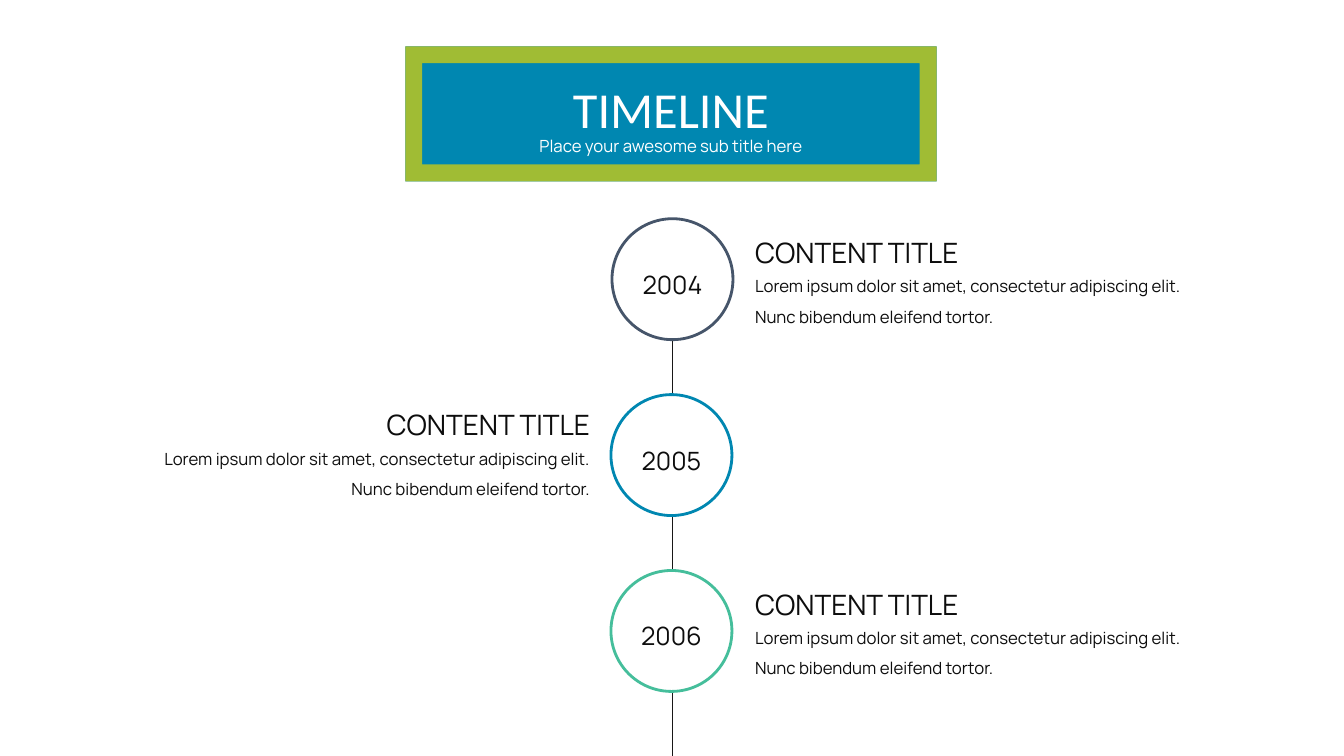
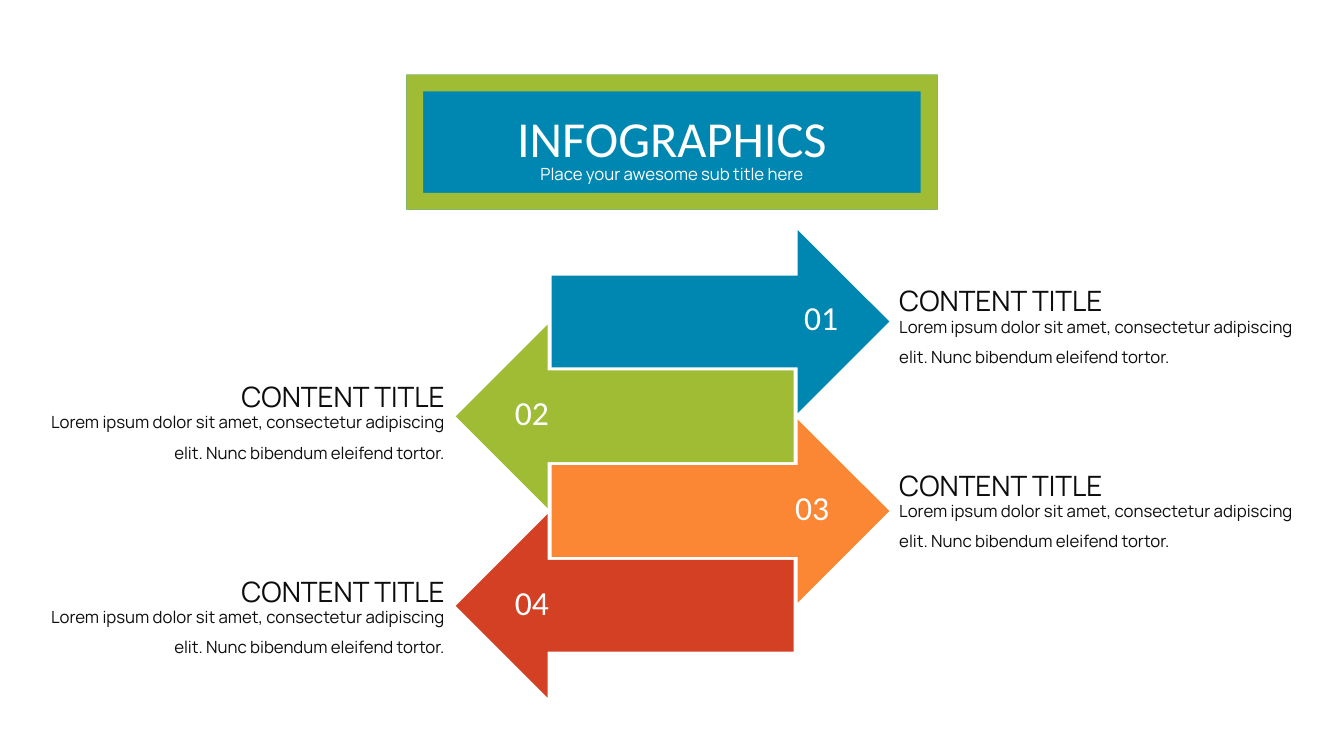
"""Build a timeline slide and an arrow infographic slide."""
from dataclasses import dataclass

from pptx import Presentation
from pptx.dml.color import RGBColor
from pptx.enum.shapes import MSO_CONNECTOR, MSO_SHAPE
from pptx.enum.text import MSO_AUTO_SIZE, PP_ALIGN
from pptx.oxml import parse_xml
from pptx.oxml.ns import nsdecls
from pptx.util import Inches, Pt

LEFT, MID, RIGHT = PP_ALIGN.LEFT, PP_ALIGN.CENTER, PP_ALIGN.RIGHT
RECT, FRAME = MSO_SHAPE.RECTANGLE, MSO_SHAPE.FRAME
OVAL, ARROW = MSO_SHAPE.OVAL, MSO_SHAPE.RIGHT_ARROW
STRAIGHT = MSO_CONNECTOR.STRAIGHT
GROW = MSO_AUTO_SIZE.SHAPE_TO_FIT_TEXT

ROWS = 75
SUB = "Place your awesome sub title here"
HEAD = "CONTENT TITLE"
BODY = ("Lorem ipsum dolor sit amet, consectetur adipiscing elit. "
        "Nunc bibendum eleifend tortor.")


@dataclass(frozen=True)
class Theme:
    white: str = "FFFFFF"
    ink: str = "0D0D0D"
    rule: str = "181717"
    slate: str = "46556A"
    blue: str = "0087B1"
    mint: str = "45BE9B"
    green: str = "A0BC34"
    orange: str = "FB8734"
    red: str = "D44024"
    sans: str = "Manrope"
    plain: str = "Calibri"
    title: int = 36
    number: int = 24
    head: int = 20
    year: int = 18
    body: int = 12
    ring: float = 2
    thin: float = 0.5
    loose: float = 1.5


THEME = Theme()


class Deck:
    def __init__(self, theme):
        self.theme = theme
        self.show = Presentation()
        self.show.slide_width = Inches(13.33)
        self.show.slide_height = Inches(7.5)
        self.cell = self.show.slide_height / ROWS
        self.slide = None

    def grid(self, *cells):
        return [round(n * self.cell) for n in cells]

    def page(self):
        self.slide = self.show.slides.add_slide(self.show.slide_layouts[6])

    def shape(self, kind, box, fill, edge=None, turn=0):
        item = self.slide.shapes.add_shape(kind, *self.grid(*box))
        item.shadow.inherit = False
        item.rotation = turn
        item.fill.solid()
        item.fill.fore_color.rgb = RGBColor.from_string(fill)
        if edge:
            item.line.color.rgb = RGBColor.from_string(edge)
            item.line.width = Pt(self.theme.ring)
        else:
            item.line.fill.background()

    def line(self, *ends):
        item = self.slide.shapes.add_connector(STRAIGHT, *self.grid(*ends))
        item.line.color.rgb = RGBColor.from_string(self.theme.rule)
        item.line.width = Pt(self.theme.thin)
        props = item.element.spPr
        props.append(parse_xml(f"<a:effectLst {nsdecls('a')}/>"))

    def text(self, words, box, size, color, face=None, align=MID, space=None):
        frame = self.slide.shapes.add_textbox(*self.grid(*box)).text_frame
        para = frame.paragraphs[0]
        run = para.add_run()
        run.text = words
        run.font.color.rgb = RGBColor.from_string(color)
        looks = {
            frame: {"word_wrap": True, "auto_size": GROW},
            para: {"alignment": align,
                   "line_spacing": space or self.theme.loose},
            run.font: {"name": face or self.theme.sans, "size": Pt(size)},
        }
        for item, look in looks.items():
            for key, value in look.items():
                setattr(item, key, value)

    def banner(self, words, left, top):
        look, wide = self.theme, 52.7
        for kind, fill in ((RECT, look.blue), (FRAME, look.green)):
            self.shape(kind, (left, top, wide, 13.4), fill)
        self.text(SUB, (left, top + 7.4, wide, 4), look.body, look.white)
        self.text(words, (left, top - 0.3, wide, 10.1), look.title,
                  look.white, look.plain)

    def note(self, left, top, wide, drop, align):
        look = self.theme
        self.text(BODY, (left, top + drop, wide, 6.9), look.body, look.ink,
                  align=align)
        self.text(HEAD, (left, top, wide, 6.1), look.head, look.ink,
                  align=align)

    def stop(self, year, left, top, color):
        look, side = self.theme, 12
        self.shape(OVAL, (left, top, side, side), look.white, color)
        self.text(year, (left, top + 3, side, 5), look.year, look.ink)

    def arrow(self, left, top, color, turn):
        self.shape(ARROW, (left, top, 33.5, 18.2), color, turn=turn)

    def number(self, words, left, top):
        look = self.theme
        self.text(words, (left, top, 8.3, 5), look.number, look.white,
                  look.plain, space=1.0)


def timeline(deck):
    look = deck.theme
    deck.page()
    deck.line(66.7, 27.2, 66.7, ROWS)
    stops = (
        ("2004", 60.7, look.slate, 73.9, 21.2, LEFT),
        ("2005", 60.6, look.blue, 12.4, 38.3, RIGHT),
        ("2006", 60.6, look.mint, 73.9, 56.1, LEFT),
    )
    for step, (year, left, color, side, top, align) in enumerate(stops):
        deck.stop(year, left, 21.7 + step * 17.45, color)
        deck.note(side, top, 47.1, 4.7, align)
    deck.banner("TIMELINE", 40.2, 4.6)


def arrows(deck):
    look = deck.theme
    deck.page()
    right, left = (54.7, 0, 88.2, LEFT), (45.2, 180, 1.6, RIGHT)
    steps = (
        (look.blue, right, 77.3, 26),
        (look.green, left, 48.6, 35.5),
        (look.orange, right, 76.4, 44.3),
        (look.red, left, 48.6, 54.8),
    )
    for step, (color, way, spot, head) in enumerate(steps):
        start, turn, side, align = way
        top = 22.8 + step * 9.4
        deck.arrow(start, top, color, turn)
        deck.number(f"{step + 1:02}", spot, top + 6.2)
        deck.note(side, head, 43.5, 3.9, align)
    deck.banner("INFOGRAPHICS", 40.3, 7.4)


def main():
    deck = Deck(THEME)
    timeline(deck)
    arrows(deck)
    deck.show.save("out.pptx")


if __name__ == "__main__":
    main()
